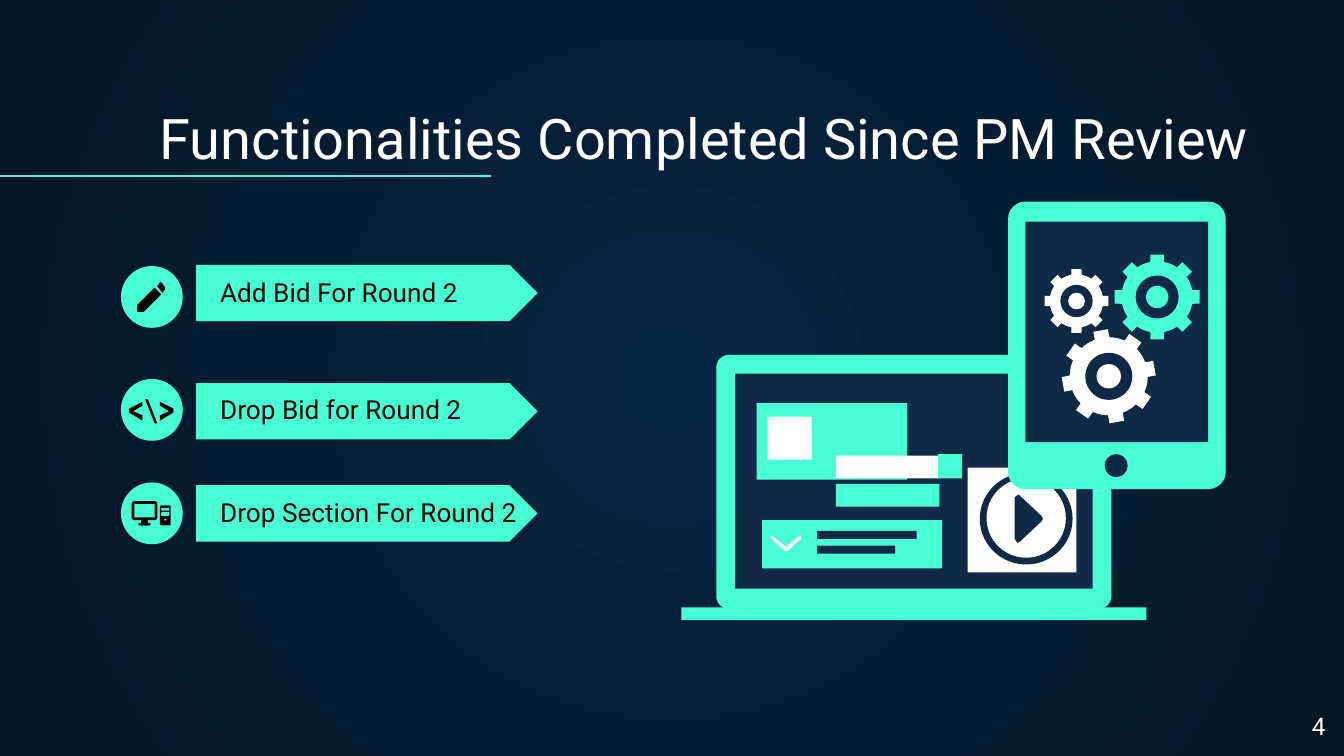
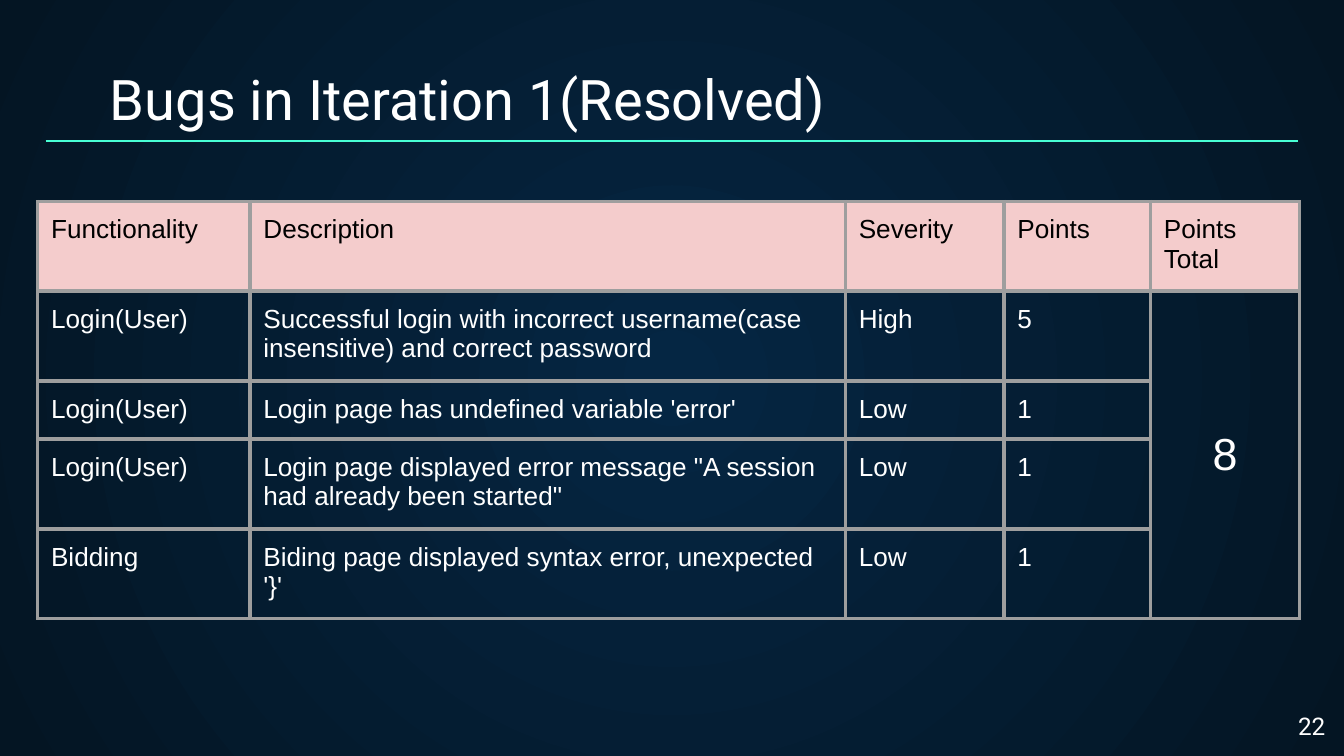
"""Build two project-review slides: completed functionalities and resolved bugs."""
import math

from pptx import Presentation
from pptx import util as u
from pptx.dml.color import RGBColor
from pptx.enum import shapes, text
from pptx.oxml import parse_xml
from pptx.oxml.ns import nsdecls, qn

CELL = u.Inches(0.1)
MINT, NAVY, WHITE, BLACK = "48FFD5", "0E2A47", "FFFFFF", "000000"
PINK, GREY = "F4CCCC", "9E9E9E"
GLOW, EDGE = "052643", "041523"
RECT, ROUND = shapes.MSO_SHAPE.RECTANGLE, shapes.MSO_SHAPE.ROUNDED_RECTANGLE
OVAL, PENTAGON = shapes.MSO_SHAPE.OVAL, shapes.MSO_SHAPE.PENTAGON
LEFT, CENTER, RIGHT = text.PP_ALIGN.LEFT, text.PP_ALIGN.CENTER, text.PP_ALIGN.RIGHT
TOP, MIDDLE, BOTTOM = text.MSO_ANCHOR.TOP, text.MSO_ANCHOR.MIDDLE, text.MSO_ANCHOR.BOTTOM
MARGINS = {f"margin_{side}": CELL for side in ("left", "top", "right", "bottom")}


def draw(slide, kind, place, fill, corner=None):
    """Draw a preset in a grid box, or a polygon through grid points when kind is None."""
    if kind is None:
        points = [(round(x * CELL), round(y * CELL)) for x, y in place]
        builder = slide.shapes.build_freeform(*points[0])
        builder.add_line_segments(points[1:])
        shape = builder.convert_to_shape()
    else:
        shape = slide.shapes.add_shape(kind, *[round(n * CELL) for n in place])
    if corner is not None:
        shape.adjustments[0] = corner
    shape.shadow.inherit = False
    shape.fill.solid()
    shape.fill.fore_color.rgb = RGBColor.from_string(fill)
    shape.line.fill.background()


def write(frame, words, size, colour, font="Roboto", align=LEFT):
    """Write one formatted paragraph into a text frame."""
    paragraph = frame.paragraphs[0]
    paragraph.alignment = align
    run = paragraph.add_run()
    run.text = words
    for name, value in {"size": u.Pt(size), "name": font}.items():
        setattr(run.font, name, value)
    run.font.color.rgb = RGBColor.from_string(colour)


presentation = Presentation()
presentation.slide_width = u.Inches(10)
presentation.slide_height = presentation.slide_width * 9 // 16

functions = [
    ("Add Bid For Round 2", 19.7, 21.8, 22.7, 19.8),
    ("Drop Bid for Round 2", 28.5, 30.5, 22.7, 28.2),
    ("Drop Section For Round 2", 36.1, 38.2, 25.4, 35.9),
]
pages = [
    ("Functionalities Completed Since PM Review", (10.9, 7.1), (0, 36.5, 13.1), "4"),
    ("Bugs in Iteration 1(Resolved)", (7.2, 4.2), (3.4, 96.6, 10.5), "22"),
]
slides = []
for title, (left, top), (start, end, row), number in pages:
    slide = presentation.slides.add_slide(presentation.slide_layouts[6])
    slides.append(slide)
    background = slide.background.fill
    background.gradient()
    for stop, colour in zip(background.gradient_stops, (GLOW, EDGE)):
        stop.color.rgb = RGBColor.from_string(colour)
    gradient = slide.element.find(".//" + qn("a:gradFill"))
    gradient.replace(gradient.find(qn("a:lin")), parse_xml(
        f'<a:path {nsdecls("a")} path="circle">'
        '<a:fillToRect l="50000" t="50000" r="50000" b="50000"/></a:path>'))

    labels = [(title, (left, top, 85.7, 6.6), 30, WHITE, LEFT, BOTTOM)]
    if slide is slides[0]:
        for words, tag_row, text_row, width, icon_row in functions:
            draw(slide, PENTAGON, (14.6, tag_row, 25.4, 4.2), MINT, 0.5)
            draw(slide, OVAL, (9, icon_row, 4.6, 4.6), MINT)
            labels.append((words, (15.4, text_row, width, 2.1), 14, BLACK, LEFT, BOTTOM))
    labels.append((number, (93.6, 51.9, 6, 4.3), 13, WHITE, RIGHT, TOP))
    for words, box, size, colour, align, anchor in labels:
        frame = slide.shapes.add_textbox(*[round(n * CELL) for n in box]).text_frame
        for name, value in {**MARGINS, "word_wrap": True, "vertical_anchor": anchor}.items():
            setattr(frame, name, value)
        write(frame, words, size, colour, align=align)

    rule = slide.shapes.add_connector(
        shapes.MSO_CONNECTOR.STRAIGHT, *[round(n * CELL) for n in (start, row, end, row)])
    rule.line.color.rgb = RGBColor.from_string(MINT)
    rule.line.width = u.Pt(0.75)
    rule.element.spPr.append(parse_xml(f'<a:effectLst {nsdecls("a")}/>'))

review, bugs = slides

chevron = [(10.6, 31.3), (9.6, 30.7), (9.6, 30.4), (10.6, 29.9),
           (10.6, 30.2), (9.9, 30.6), (10.6, 30.9)]
pencil_tip = [(12, 21), (12.3, 21.4), (12.3, 21.5), (12.1, 21.8), (11.7, 21.3), (11.9, 21)]
pencil_body = [(11.5, 21.4), (12, 21.9), (10.7, 23.2), (10.2, 23.2), (10.2, 22.7)]
backslash = [(11.5, 31.5), (10.8, 29.7), (11, 29.7), (11.7, 31.5)]
for points in (pencil_tip, pencil_body, chevron, backslash,
               [(22.5 - x, y) for x, y in chevron]):
    draw(review, None, points, BLACK)

computer = [
    (ROUND, (9.8, 37.3, 1.9, 1.4), BLACK, 0.14),
    (RECT, (10, 37.5, 1.5, 1), MINT, None),
    (RECT, (10.5, 38.7, 0.5, 0.3), BLACK, None),
    (ROUND, (10.3, 38.9, 0.9, 0.2), BLACK, 0.5),
    (ROUND, (11.9, 37.6, 0.8, 1.5), BLACK, 0.12),
    (ROUND, (12, 37.8, 0.6, 0.2), MINT, 0.3),
    (ROUND, (12, 38.1, 0.6, 0.3), MINT, 0.3),
    (OVAL, (12.24, 38.6, 0.14, 0.14), MINT, None),
]
laptop = [
    (ROUND, (53.3, 26.4, 29.4, 18.9), MINT, 0.05),
    (RECT, (54.7, 27.8, 26.6, 16), NAVY, None),
    (RECT, (50.7, 45.2, 34.6, 0.95), MINT, None),
    (RECT, (56.3, 30, 11.2, 5.7), MINT, None),
    (RECT, (57.1, 31, 3.3, 3.2), WHITE, None),
    (RECT, (56.7, 38.7, 13.4, 3.6), MINT, None),
    (RECT, (60.8, 39.5, 7.4, 0.6), NAVY, None),
    (RECT, (60.8, 40.6, 5.8, 0.6), NAVY, None),
    (RECT, (62.2, 36, 7.7, 1.7), MINT, None),
    (RECT, (62.2, 33.9, 7.7, 1.7), WHITE, None),
    (RECT, (69.8, 33.8, 1.8, 1.8), MINT, None),
    (RECT, (72, 34.8, 8.1, 7.8), WHITE, None),
    (OVAL, (72.9, 35.2, 6.9, 6.8), NAVY, None),
    (OVAL, (73.4, 35.6, 5.9, 5.9), WHITE, None),
]
tick = [(57.5, 39.9), (58.5, 40.7), (59.4, 39.9), (59.6, 39.9), (59.6, 40.1),
        (58.6, 41), (58.4, 41), (57.4, 40.1), (57.3, 39.9)]
play = [(75.5, 37), (75.8, 36.8), (77.5, 38.4), (77.6, 38.6), (77.5, 38.8),
        (75.9, 40.3), (75.7, 40.4), (75.5, 40.1)]
tablet = [
    (ROUND, (75, 15, 16.2, 21.4), MINT, 0.08),
    (RECT, (76.3, 16.5, 13.6, 16.4), NAVY, None),
    (OVAL, (82.2, 33.8, 1.7, 1.7), NAVY, None),
]
parts = computer + laptop + [(None, tick, WHITE, None), (None, play, NAVY, None)] + tablet
for part in parts:
    draw(review, *part)

gears = [(86.1, 22.1, 3.2, 0, MINT), (80.1, 22.4, 2.4, 0, WHITE), (82.5, 28, 3.5, -10, WHITE)]
TEETH = 8
profile = [(-9, 1), (9, 1), (11, 0.83), (18, 0.83), (22.5, 0.83), (27, 0.83), (34, 0.83)]
for x, y, radius, tilt, colour in gears:
    outline = []
    for tooth in range(TEETH):
        for angle, share in profile:
            turn = math.radians(tilt + tooth * 360 / TEETH + angle)
            outline.append((x + radius * share * math.cos(turn),
                            y + radius * share * math.sin(turn)))
    draw(review, None, outline, colour)
    for share, shade in ((0.5, NAVY), (0.26, colour)):
        reach = radius * share
        draw(review, OVAL, (x - reach, y - reach, 2 * reach, 2 * reach), shade)

rows = [
    ("Functionality", "Description", "Severity", "Points", "Points Total"),
    ("Login(User)", "Successful login with incorrect username(case insensitive) "
     "and correct password", "High", "5", "8"),
    ("Login(User)", "Login page has undefined variable 'error'", "Low", "1", ""),
    ("Login(User)", "Login page displayed error message \"A session had already "
     "been started\"", "Low", "1", ""),
    ("Bidding", "Biding page displayed syntax error, unexpected '}'", "Low", "1", ""),
]
widths, heights = (15.8, 44.3, 11.8, 10.9, 11.1), (3.8, 4.2, 4.2, 4.2, 4.2)
box = (2.8, 15, sum(widths), sum(heights))
holder = bugs.shapes.add_table(len(rows), len(widths), *[round(n * CELL) for n in box])
table = holder.table
table.first_row = table.horz_banding = False
for column, width in zip(table.columns, widths):
    column.width = round(width * CELL)
for row, height in zip(table.rows, heights):
    row.height = round(height * CELL)
holder.width = holder.height = round(32.8 * CELL)
for r, values in enumerate(rows):
    for c, words in enumerate(values):
        cell = table.cell(r, c)
        total = r > 0 and c == len(widths) - 1
        for edge in ("lnL", "lnR", "lnT", "lnB"):
            cell._tc.get_or_add_tcPr().append(parse_xml(
                f'<a:{edge} {nsdecls("a")} w="{u.Pt(2.25)}"><a:solidFill>'
                f'<a:srgbClr val="{GREY}"/></a:solidFill></a:{edge}>'))
        if r == 0:
            cell.fill.solid()
            cell.fill.fore_color.rgb = RGBColor.from_string(PINK)
        else:
            cell.fill.background()
        for name, value in {**MARGINS, "vertical_anchor": MIDDLE if total else TOP}.items():
            setattr(cell, name, value)
        if words:
            write(cell.text_frame, words, 24 if total else 14, WHITE if r else BLACK,
                  "Arial", CENTER if total else LEFT)
table.cell(1, 4).merge(table.cell(4, 4))

presentation.save("out.pptx")
